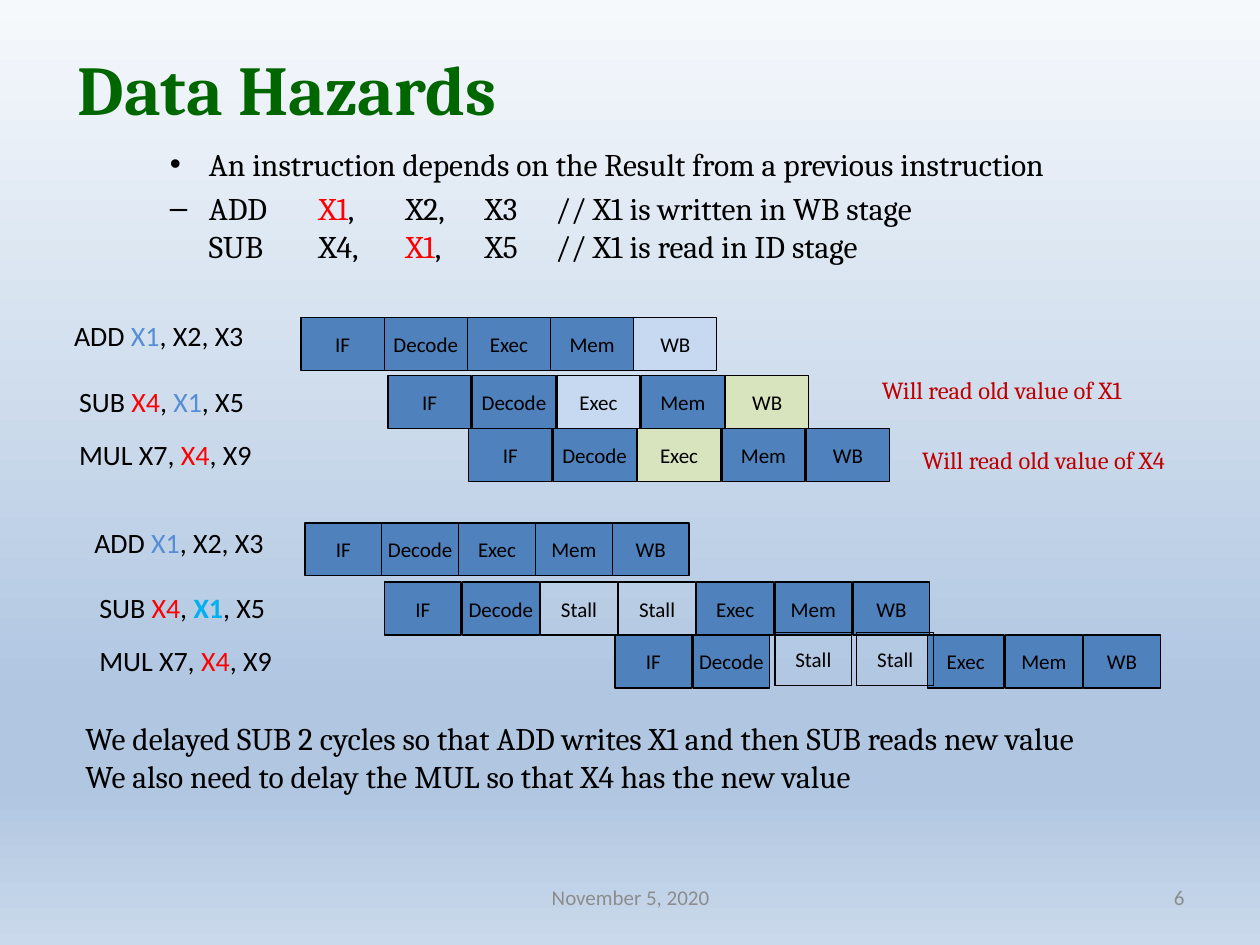
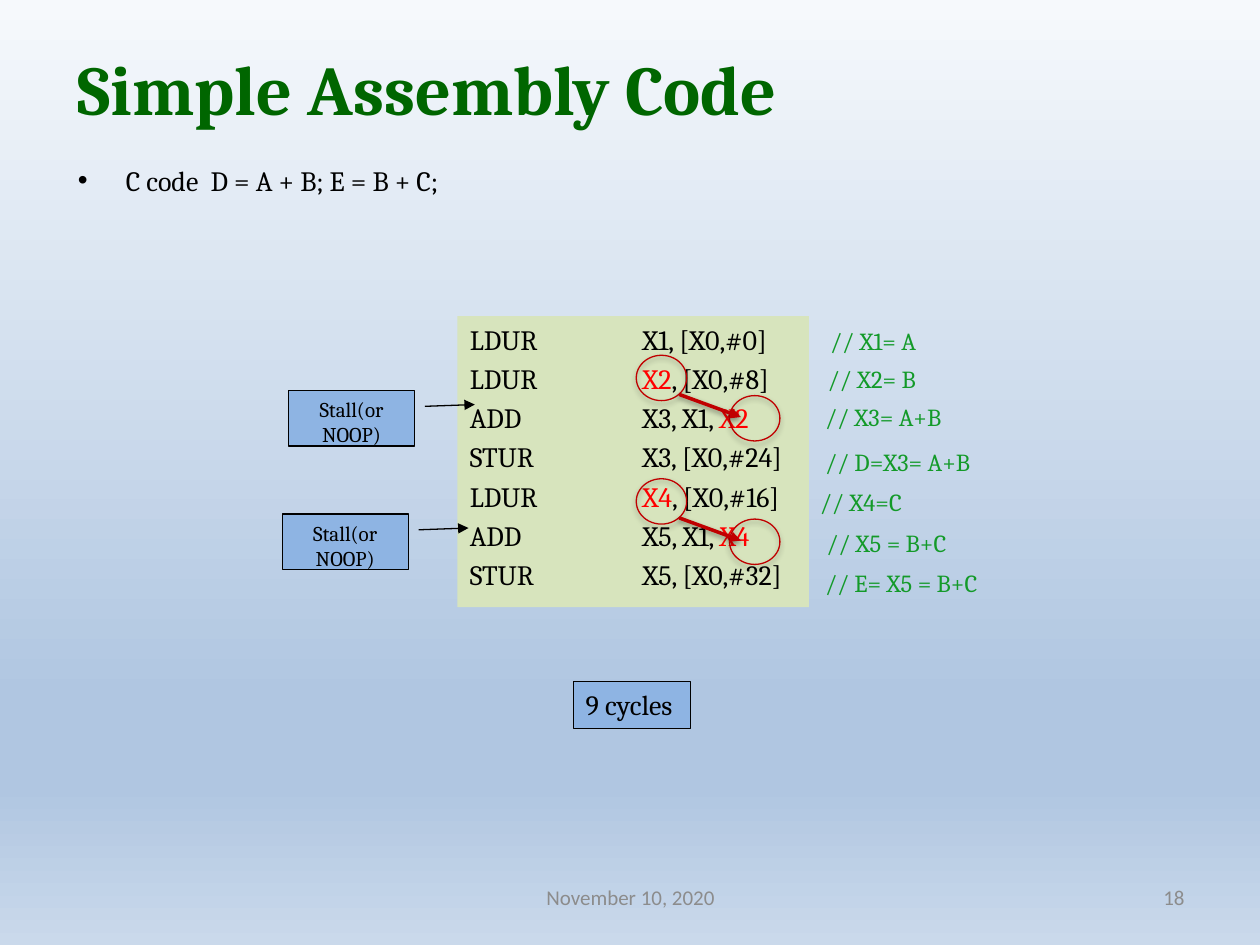
"""Build two slides on pipeline data hazards and stalls."""
from lxml.etree import SubElement
from pptx import Presentation
from pptx.dml.color import RGBColor
from pptx.enum.shapes import MSO_CONNECTOR, MSO_SHAPE
from pptx.enum.text import MSO_ANCHOR, PP_ALIGN
from pptx.oxml.ns import qn
from pptx.util import Inches, Pt

CELL = Inches(1)
COLS, ROWS = 10, 7.5
HUES = {
    "ink": "000000", "title": "006600", "foot": "8C8C8C", "red": "FF0000",
    "blue": "558ED5", "sky": "00B0F0", "dark": "C00000", "note": "139A29",
    "stage": "4F81BD", "pale": "C6D9F1", "lime": "D7E4BD", "stall": "8EB4E3",
}
STOPS = [(0, "F6F9FC"), (74, "B0C6E1"), (83, "B0C6E1"), (100, "CAD9EB")]
SERIF, SANS = "Cambria", "Calibri"
LEFT, MID, RIGHT = PP_ALIGN.LEFT, PP_ALIGN.CENTER, PP_ALIGN.RIGHT
TOP, CORE = MSO_ANCHOR.TOP, MSO_ANCHOR.MIDDLE


def span(*cells):
    return [int(cell * CELL) for cell in cells]


def hue(name):
    return RGBColor.from_string(HUES[name])


def node(base, tag, **attrs):
    return SubElement(base, qn(tag), {key: str(val) for key, val in attrs.items()})


def paint(master):
    """Give every slide the vertical blue gradient."""
    fill = master.background.fill
    fill.gradient()
    fill.gradient_angle = 270
    grad = master.element.find(".//" + qn("a:gradFill"))
    stops = grad.find(qn("a:gsLst"))
    for stop in list(stops):
        stops.remove(stop)
    for share, tint in STOPS:
        stop = node(stops, "a:gs", pos=share * 1000)
        node(stop, "a:srgbClr", val=tint)
    line = grad.find(qn("a:lin"))
    line.set("ang", "5400000")
    line.set("scaled", "0")


def write(shape, lines, size, font=SERIF, tint="ink", bold=False,
          align=LEFT, anchor=TOP, wrap=True, gap=0):
    """Fill a shape with lines in which |hue:text| marks a coloured run."""
    frame = shape.text_frame
    frame.word_wrap, frame.vertical_anchor = wrap, anchor
    for index, line in enumerate(lines):
        para = frame.add_paragraph() if index else frame.paragraphs[0]
        para.alignment, para.space_before = align, Pt(gap * size)
        for row, part in enumerate(line.split("\v")):
            if row:
                para.add_line_break()
            for turn, piece in enumerate(part.split("|")):
                shade, text = piece.split(":") if turn % 2 else (tint, piece)
                if text:
                    run = para.add_run()
                    run.text = text
                    run.font.size, run.font.name = Pt(size), font
                    run.font.bold = bold or shade == "sky"
                    run.font.color.rgb = hue(shade)
    return frame.paragraphs


def label(slide, at, lines, size, **style):
    return write(slide.shapes.add_textbox(*span(*at)), lines, size, **style)


def bullet(para, mark, inset, hang):
    props = para._p.get_or_add_pPr()
    props.set("marL", str(Inches(inset)))
    props.set("indent", str(-Inches(hang)))
    node(props, "a:buFont", typeface="Arial")
    node(props, "a:buChar", char=mark)


def tabs(para, places):
    stops = node(para._p.get_or_add_pPr(), "a:tabLst")
    for place in places:
        node(stops, "a:tab", pos=Inches(place), algn="l")


def form(slide, kind, at, fill=None, edge="ink"):
    """Add a preset shape with a thin edge and no shadow."""
    shape = slide.shapes.add_shape(kind, *span(*at))
    shape.shadow.inherit = False
    if fill:
        shape.fill.solid()
        shape.fill.fore_color.rgb = hue(fill)
    else:
        shape.fill.background()
    if edge:
        shape.line.color.rgb = hue(edge)
        shape.line.width = Pt(0.75)
    else:
        shape.line.fill.background()
    return shape


def shade(effects, alpha, drop):
    cast = node(effects, "a:outerShdw", blurRad=Pt(3.1), dist=Pt(drop),
                dir=5400000, rotWithShape=0)
    tint = node(cast, "a:srgbClr", val=HUES["ink"])
    node(tint, "a:alpha", val=alpha * 1000)


def stage(slide, left, top, width, name, fill="stage"):
    box = form(slide, MSO_SHAPE.RECTANGLE, (left, top, width, 0.42), fill)
    write(box, [name], 12, SANS, align=MID, anchor=CORE, wrap=False)


def lane(slide, left, top, width, step, names):
    """Draw a row of stages; name:hue sets a fill and - skips a slot."""
    for slot, name in enumerate(names.split()):
        text, _, fill = name.partition(":")
        if text == "Stall":
            stage(slide, left + slot * step, top, width, text, None)
        elif text != "-":
            stage(slide, left + slot * step, top, width, text, fill or "stage")


def ops(slide, left, top, read):
    """List the three instructions beside a pipeline chart."""
    rows = [(0, 0, "ADD |blue:X1|, X2, X3"),
            (0.04, 0.52, f"SUB |red:X4|, |{read}:X1|, X5"),
            (0.04, 0.94, "MUL X7, |red:X4|, X9")]
    for right, down, text in rows:
        label(slide, (left + right, top + down, 1.8, 0.37), [text], 16, font=SANS)


def link(slide, left, top):
    """Ring a written register and its reader, and join them by an arrow."""
    for right, down in ((0, 0), (0.74, 0.32)):
        ring = form(slide, MSO_SHAPE.OVAL,
                    (left + right, top + down, 0.4, 0.36), edge="dark")
        shade(ring._element.spPr.find(qn("a:effectLst")), 35, 1.8)
    ends = span(left + 0.34, top + 0.31, left + 0.83, top + 0.49)
    arrow = slide.shapes.add_connector(MSO_CONNECTOR.STRAIGHT, *ends)
    arrow.line.color.rgb = hue("dark")
    arrow.line.width = Pt(2)
    node(arrow.line._get_or_add_ln(), "a:tailEnd", type="triangle")
    shade(node(arrow._element.spPr, "a:effectLst"), 38, 1.6)


def stall(slide, left, top):
    box = form(slide, MSO_SHAPE.LINE_CALLOUT_1, (left, top, 1, 0.44), "stall")
    for index, share in enumerate((0.285, 1.083, 0.253, 1.479)):
        box.adjustments[index] = share
    node(box.line._get_or_add_ln(), "a:tailEnd", type="triangle")
    write(box, ["Stall(or NOOP)"], 12, align=MID)


def page(deck, title, date, number):
    """Add a slide with its title and footer."""
    slide = deck.slides.add_slide(deck.slide_layouts[6])
    foot = dict(font=SANS, tint="foot", anchor=CORE)
    label(slide, (7.17, 6.92, 2.33, 0.4), [number], 12, align=RIGHT, **foot)
    label(slide, (3.42, 6.92, 3.17, 0.4), [date], 12, align=MID, **foot)
    label(slide, (0.52, 0.31, 9.03, 0.83), [title], 40, tint="title", bold=True)
    return slide


def hazards(deck):
    slide = page(deck, "Data Hazards", "November 5, 2020", "6")
    paras = label(slide, (0.75, 1.1, 9.05, 1.27), [
        "An instruction depends on the Result from a previous instruction",
        "ADD\t|red:X1|, \tX2, \tX3\t// X1 is written in WB stage\v"
        "SUB\tX4, \t|red:X1|, \tX5\t// X1 is read in ID stage"], 18, gap=0.2)
    for para, mark in zip(paras, "•–"):
        bullet(para, mark, 0.81, 0.31)
        tabs(para, (1.68, 2.37, 3, 3.56))
    paras[1].level = 1
    label(slide, (0.58, 5.66, 8.92, 0.71), [
        "We delayed SUB 2 cycles so that ADD writes X1 and then SUB reads new value",
        "We also need to delay the MUL so that X4 has the new value"], 18)

    ops(slide, 0.49, 2.48, "blue")
    lane(slide, 2.39, 2.52, 0.66, 0.66, "IF Decode Exec Mem WB:pale")
    lane(slide, 3.08, 2.98, 0.66, 0.67, "IF Decode Exec:pale Mem WB:lime")
    lane(slide, 3.72, 3.4, 0.66, 0.67, "IF Decode Exec:lime Mem WB")
    for left, top, name in ((6.9, 2.93, "X1"), (7.22, 3.48, "X4")):
        label(slide, (left, top, 2.33, 0.34),
              [f"Will read old value of {name}"], 14, tint="dark")

    ops(slide, 0.65, 4.12, "sky")
    lane(slide, 2.42, 4.15, 0.61, 0.61, "IF Decode Exec Mem WB")
    lane(slide, 3.05, 4.62, 0.61, 0.62, "IF Decode Stall Stall Exec Mem WB")
    lane(slide, 4.88, 5.04, 0.61, 0.62, "IF Decode - - Exec Mem WB")
    lane(slide, 6.15, 5.02, 0.61, 0.65, "Stall Stall")


def code(deck):
    slide = page(deck, "Simple Assembly Code", "November 10, 2020", "18")
    paras = label(slide, (0.52, 1.25, 9.03, 0.56),
                  ["C code  D = A + B; E = B + C;"], 16, gap=0.2)
    bullet(paras[0], "•", 0.38, 0.38)

    panel = form(slide, MSO_SHAPE.RECTANGLE, (3.63, 2.51, 2.79, 2.31), "lime", None)
    lines = ["LDUR\t\tX1, [X0,#0]", "LDUR\t\t|red:X2|, [X0,#8]",
             "ADD\t\tX3, X1, |red:X2|", "STUR\t\tX3, [X0,#24]",
             "LDUR\t\t|red:X4|, [X0,#16]", "ADD\t\tX5, X1, |red:X4|",
             "STUR\t\tX5, [X0,#32]"]
    for para in write(panel, lines, 16, gap=0.2):
        tabs(para, (0.69, 1.37))
    total = form(slide, MSO_SHAPE.RECTANGLE, (4.55, 5.41, 0.93, 0.37), "stall")
    write(total, ["9 cycles"], 16, wrap=False)
    for top in (2.82, 3.8):
        link(slide, 5.05, top)
    notes = [(6.49, 2.54, "X1= A"), (6.47, 2.84, "X2= B"), (6.45, 3.14, "X3= A+B"),
             (6.45, 3.5, "D=X3= A+B"), (6.41, 3.82, "X4=C"),
             (6.46, 4.14, "X5 = B+C"), (6.45, 4.46, "E= X5 = B+C")]
    for left, top, text in notes:
        label(slide, (left, top, 2.2, 0.34), [f"// {text}"], 14, tint="note")
    stall(slide, 2.29, 3.1)
    stall(slide, 2.24, 4.08)


def main():
    deck = Presentation()
    deck.slide_width, deck.slide_height = span(COLS, ROWS)
    paint(deck.slide_master)
    hazards(deck)
    code(deck)
    deck.save("out.pptx")


if __name__ == "__main__":
    main()
